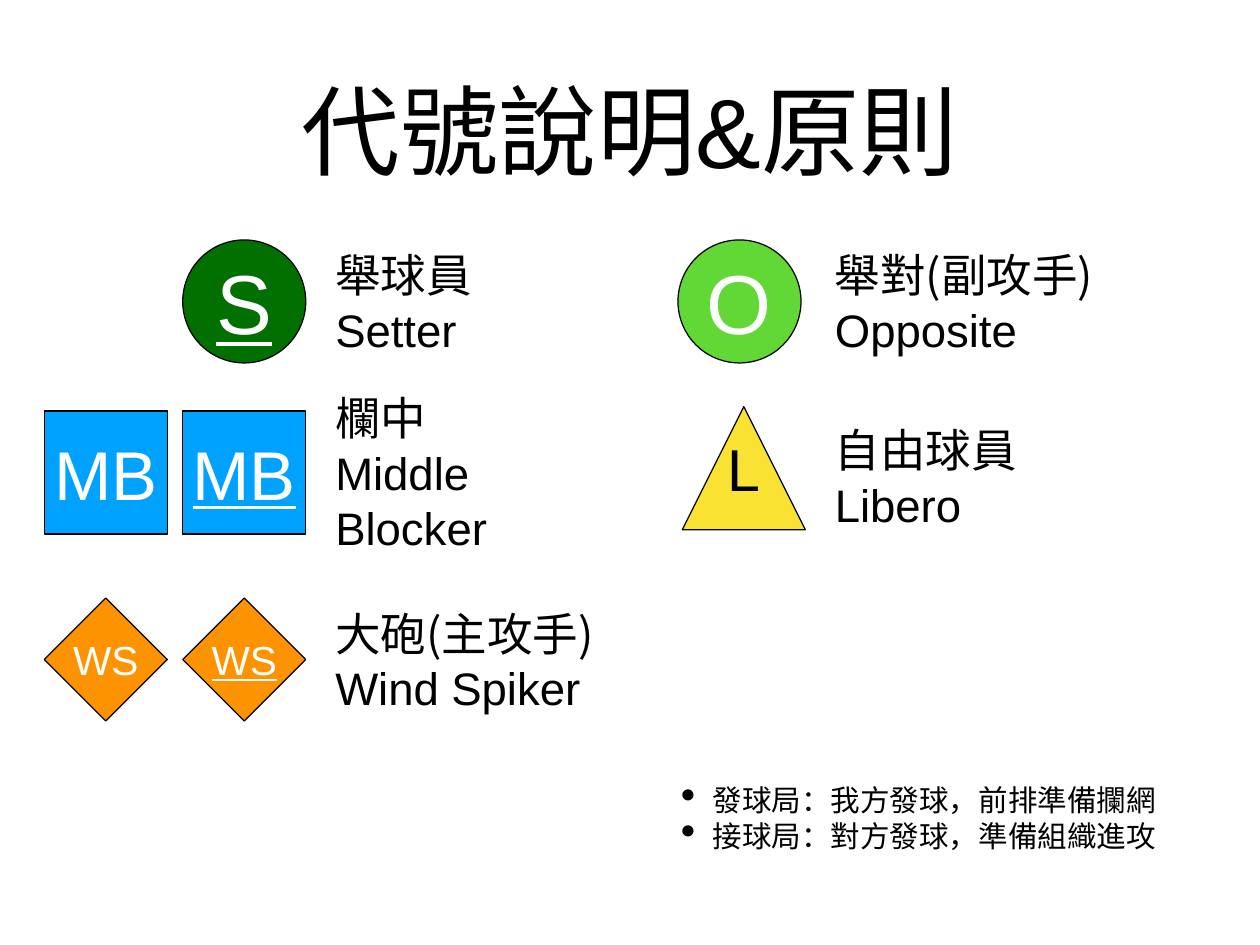
from lxml import etree
from pptx import Presentation
from pptx.dml.color import RGBColor
from pptx.enum.shapes import MSO_SHAPE
from pptx.enum.text import MSO_ANCHOR, PP_ALIGN
from pptx.oxml.ns import qn
from pptx.util import Pt

LEFT, CENTER = PP_ALIGN.LEFT, PP_ALIGN.CENTER
MIDDLE = MSO_ANCHOR.MIDDLE
CIRCLE, SQUARE = MSO_SHAPE.OVAL, MSO_SHAPE.RECTANGLE
BLACK = RGBColor(0x00, 0x00, 0x00)
WHITE = RGBColor(0xFF, 0xFF, 0xFF)
DARK_GREEN = RGBColor(0x02, 0x70, 0x01)
LIGHT_GREEN = RGBColor(0x61, 0xD8, 0x36)
BLUE = RGBColor(0x00, 0xA2, 0xFF)
ORANGE = RGBColor(0xFE, 0x93, 0x01)
YELLOW = RGBColor(0xFA, 0xE2, 0x32)
LATIN_FONT, CHINESE_FONT = "Arial", "Noto Sans CJK SC"
TOKEN = 100
LABEL_HEIGHT = 98
DIAMOND = [(0, 50), (50, 100), (100, 50), (50, 0)]
TRIANGLE = [(50, 0), (100, 100), (0, 100)]


class RotationSlide:
    """Draws volleyball position tokens, their labels and notes on one slide."""

    def __init__(self, presentation):
        self.slide = presentation.slides.add_slide(presentation.slide_layouts[6])
        self.inset = Pt(4)

    def fill_text(self, frame, text, size, color=BLACK, fonts=(LATIN_FONT,), align=CENTER,
                  underline=False, spacing=None, bullet=False):
        frame.word_wrap = True
        frame.vertical_anchor = MIDDLE
        frame.margin_left = frame.margin_right = self.inset
        frame.margin_top = frame.margin_bottom = self.inset
        for index, line in enumerate(text.split("\n")):
            paragraph = frame.add_paragraph() if index else frame.paragraphs[0]
            paragraph.alignment = align
            if spacing:
                paragraph.line_spacing = Pt(spacing)
            run = paragraph.add_run()
            run.text = line
            run.font.size = Pt(size)
            run.font.name = fonts[index % len(fonts)]
            run.font.color.rgb = color
            if underline:
                run.font.underline = True
            east_asian = etree.SubElement(run.font._element, qn("a:ea"))
            east_asian.set("typeface", CHINESE_FONT)
            if bullet:
                self.add_bullet(paragraph)

    def add_bullet(self, paragraph):
        properties = paragraph._p.get_or_add_pPr()
        properties.set("marL", str(Pt(26)))
        properties.set("indent", str(-Pt(26)))
        etree.SubElement(properties, qn("a:buSzPct")).set("val", "145000")
        etree.SubElement(properties, qn("a:buChar")).set("char", "•")

    def text(self, left, top, width, height, text, **style):
        box = self.slide.shapes.add_textbox(Pt(left), Pt(top), Pt(width), Pt(height))
        self.fill_text(box.text_frame, text, **style)

    def label(self, left, middle, width, text):
        self.text(left, middle - LABEL_HEIGHT / 2, width, LABEL_HEIGHT, text, size=37,
                  fonts=(CHINESE_FONT, LATIN_FONT), align=LEFT, spacing=44.6)

    def token(self, left, top, outline, fill, text, **style):
        shapes = self.slide.shapes
        if isinstance(outline, list):
            points = [(Pt(left + x), Pt(top + y)) for x, y in outline]
            builder = shapes.build_freeform(*points[0])
            builder.add_line_segments(points[1:], close=True)
            shape = builder.convert_to_shape()
        else:
            shape = shapes.add_shape(outline, Pt(left), Pt(top), Pt(TOKEN), Pt(TOKEN))
        shape.shadow.inherit = False
        shape.fill.solid()
        shape.fill.fore_color.rgb = fill
        shape.line.color.rgb = BLACK
        shape.line.width = Pt(1)
        self.fill_text(shape.text_frame, text, **style)


def main():
    presentation = Presentation()
    presentation.slide_width, presentation.slide_height = Pt(1024), Pt(768)
    page = RotationSlide(presentation)
    page.text(75, 20, 874, 170, "代號說明&原則", size=80)

    page.token(148.5, 195, CIRCLE, DARK_GREEN, "S", size=68, color=WHITE, underline=True)
    page.token(551, 195, CIRCLE, LIGHT_GREEN, "O", size=68, color=WHITE)
    page.token(554.5, 330.5, TRIANGLE, YELLOW, "L", size=48)
    for left, underline in ((36, False), (148.5, True)):
        page.token(left, 334, SQUARE, BLUE, "MB", size=56, color=WHITE, underline=underline)
        page.token(left, 486, DIAMOND, ORANGE, "WS", size=33, color=WHITE, underline=underline)

    labels = [
        (268.5, 245, 121, "舉球員\nSetter"),
        (268.5, 384, 242, "欄中\nMiddle Blocker"),
        (268.5, 536.5, 222.5, "大砲(主攻手)\nWind Spiker"),
        (674.5, 245, 222.5, "舉對(副攻手)\nOpposite"),
        (674.5, 387.5, 158, "自由球員\nLibero"),
    ]
    for label in labels:
        page.label(*label)

    page.text(547, 631.5, 398.5, 66, "發球局：我方發球，前排準備攔網\n接球局：對方發球，準備組織進攻",
              size=24, fonts=(CHINESE_FONT,), spacing=29.3, bullet=True)
    presentation.save("out.pptx")


if __name__ == "__main__":
    main()
